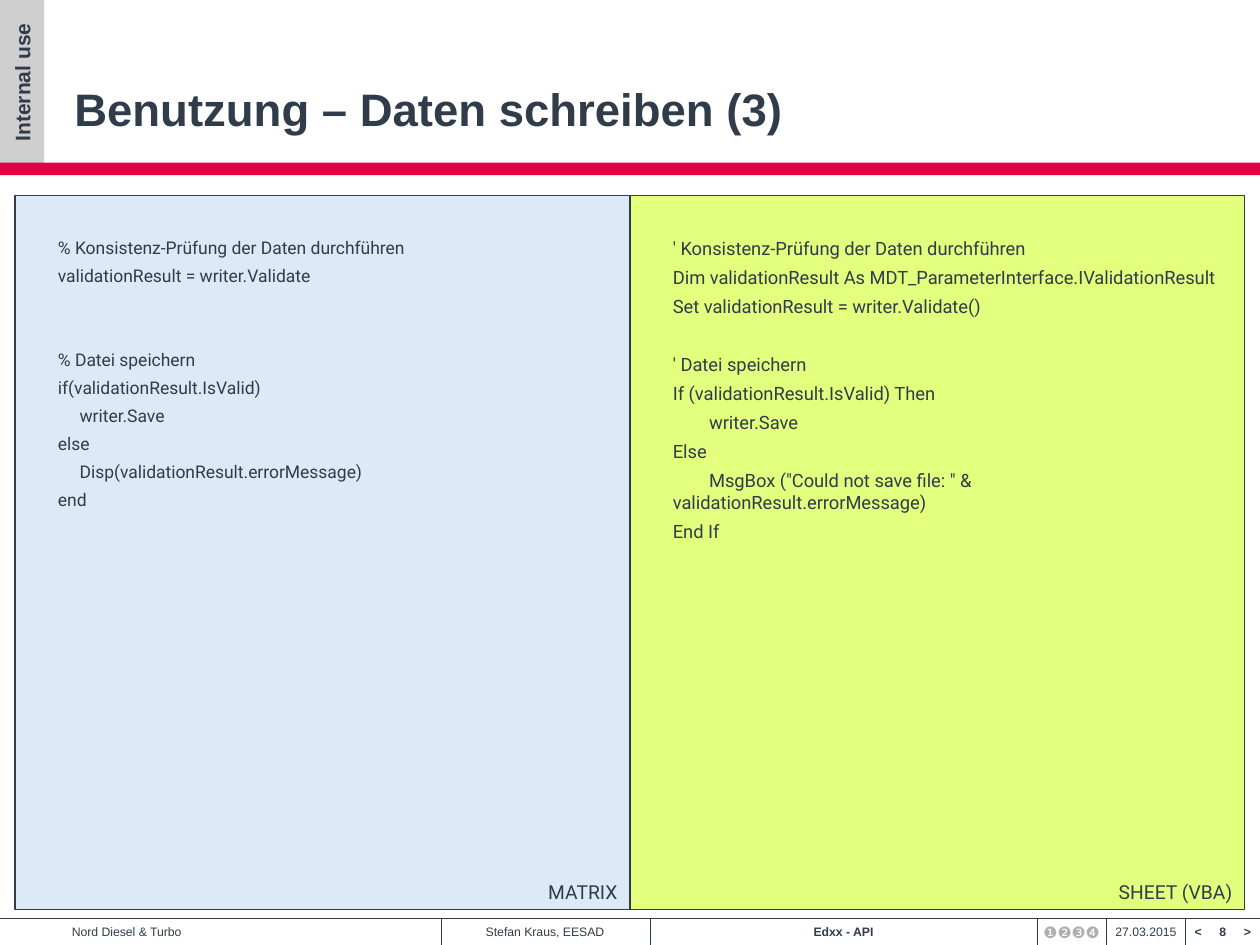
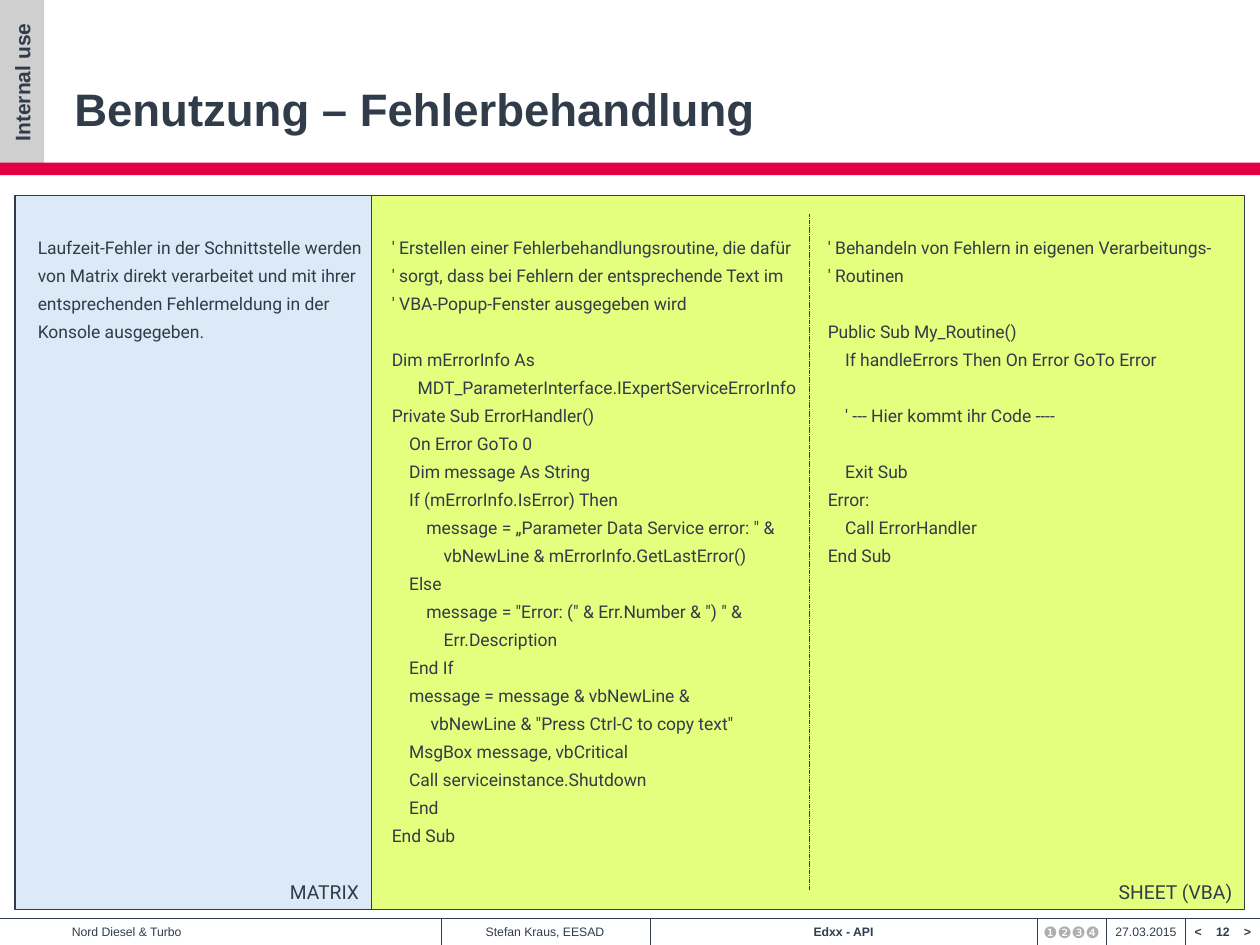
from lxml import etree
from pptx import Presentation
from pptx.dml.color import RGBColor
from pptx.enum.dml import MSO_LINE
from pptx.enum.shapes import MSO_CONNECTOR, MSO_SHAPE
from pptx.enum.text import MSO_ANCHOR, PP_ALIGN
from pptx.oxml.ns import qn
from pptx.util import Inches, Pt

LEFT, CENTER, RIGHT = PP_ALIGN.LEFT, PP_ALIGN.CENTER, PP_ALIGN.RIGHT
TOP, MIDDLE, BOTTOM = MSO_ANCHOR.TOP, MSO_ANCHOR.MIDDLE, MSO_ANCHOR.BOTTOM
RECTANGLE = MSO_SHAPE.RECTANGLE
STRAIGHT = MSO_CONNECTOR.STRAIGHT
DOTTED = MSO_LINE.SQUARE_DOT

INK, GREY, RED = "303C49", "CFCFCF", "E40045"
BLUE, GREEN, SYMBOL_GREY = "DBEAF6", "E3FF7D", "AFAFAF"
HEAD_FONT, BODY_FONT = "Arial", "Roboto"
PAGE_WIDTH, PAGE_HEIGHT = 10, 7.5
FOOTER_TOP, FOOTER_HEIGHT = 7.29, 0.21
PANEL_LEFT, PANEL_RIGHT, PANEL_TOP, PANEL_HEIGHT = 0.12, 9.88, 1.55, 5.67
CODE_TOP, CODE_HEIGHT = 1.88, 5.02
LINE_GAP, LINE_FACTOR = 4, 1.2


def color(value):
    return RGBColor.from_string(value)


def add_box(page, place, text="", size=7, bold=False, align=CENTER, anchor=MIDDLE,
            font=HEAD_FONT, ink=INK, fill=None, outline=None,
            insets=(0, 0, 0, 0), wrap=True):
    left, top, width, height = [Inches(length) for length in place]
    if fill:
        box = page.shapes.add_shape(RECTANGLE, left, top, width, height)
        box.shadow.inherit = False
        box.fill.solid()
        box.fill.fore_color.rgb = color(fill)
        if outline:
            box.line.color.rgb = color(outline)
            box.line.width = Pt(0.75)
        else:
            box.line.fill.background()
    else:
        box = page.shapes.add_textbox(left, top, width, height)
    frame = box.text_frame
    frame.word_wrap = wrap
    frame.vertical_anchor = anchor
    frame.margin_left, frame.margin_top, frame.margin_right, frame.margin_bottom = [
        Inches(inset) for inset in insets]
    blank_lines = 0
    paragraph_count = 0
    for line in text.split("\n"):
        if not line:
            blank_lines += 1
            continue
        para = frame.add_paragraph() if paragraph_count else frame.paragraphs[0]
        para.text = line
        para.alignment = align
        if paragraph_count:
            para.space_before = Pt(LINE_GAP + blank_lines * (LINE_GAP + LINE_FACTOR * size))
        for span in para.runs:
            span.font.name = font
            span.font.size = Pt(size)
            span.font.bold = bold
            span.font.color.rgb = color(ink)
        blank_lines = 0
        paragraph_count += 1
    return box


MATRIX_SAVE = """% Konsistenz-Prüfung der Daten durchführen
validationResult = writer.Validate


% Datei speichern
if(validationResult.IsValid)
     writer.Save
else
     Disp(validationResult.errorMessage)
end"""

VBA_SAVE = """' Konsistenz-Prüfung der Daten durchführen
Dim validationResult As MDT_ParameterInterface.IValidationResult
Set validationResult = writer.Validate()

' Datei speichern
If (validationResult.IsValid) Then
        writer.Save
Else
        MsgBox ("Could not save file: " & validationResult.errorMessage)
End If"""

MATRIX_ERRORS = """Laufzeit-Fehler in der Schnittstelle werden
von Matrix direkt verarbeitet und mit ihrer
entsprechenden Fehlermeldung in der
Konsole ausgegeben."""

VBA_HANDLER = """' Erstellen einer Fehlerbehandlungsroutine, die dafür
' sorgt, dass bei Fehlern der entsprechende Text im
' VBA-Popup-Fenster ausgegeben wird

Dim mErrorInfo As
      MDT_ParameterInterface.IExpertServiceErrorInfo
Private Sub ErrorHandler()
    On Error GoTo 0
    Dim message As String
    If (mErrorInfo.IsError) Then
        message = „Parameter Data Service error: " &
            vbNewLine & mErrorInfo.GetLastError()
    Else
        message = "Error: (" & Err.Number & ") " &
            Err.Description
    End If
    message = message & vbNewLine &
         vbNewLine & "Press Ctrl-C to copy text"
    MsgBox message, vbCritical
    Call serviceinstance.Shutdown
    End
End Sub"""

VBA_ROUTINE = """' Behandeln von Fehlern in eigenen Verarbeitungs-
' Routinen

Public Sub My_Routine()
    If handleErrors Then On Error GoTo Error

    ' --- Hier kommt ihr Code ----

    Exit Sub
Error:
    Call ErrorHandler
End Sub"""

SLIDES = [
    {"title": "Benutzung – Daten schreiben (3)", "number": "8", "split": 5,
     "code": [(0.46, 4.39, 10, MATRIX_SAVE), (5.34, 4.39, 10.5, VBA_SAVE)],
     "dividers": []},
    {"title": "Benutzung – Fehlerbehandlung", "number": "12", "split": 2.95,
     "code": [(0.3, 2.57, 10, MATRIX_ERRORS), (3.11, 3.23, 10, VBA_HANDLER),
              (6.57, 3.23, 10, VBA_ROUTINE)],
     "dividers": [6.42]},
]

FOOTER_CELLS = [
    (0, 2.17, "Nord Diesel & Turbo", False, LEFT, 0.57),
    (3.5, 1.65, "Stefan Kraus, EESAD", False, CENTER, 0),
    (5.16, 3.07, "Edxx - API", True, CENTER, 0),
    (8.78, 0.63, "27.03.2015", False, CENTER, 0),
    (9.41, 0.2, "<", True, CENTER, 0),
    (9.8, 0.2, ">", True, CENTER, 0),
]
FOOTER_SEPARATORS = [3.5, 5.16, 8.23, 8.78, 9.41]

deck = Presentation()
deck.slide_width = Inches(PAGE_WIDTH)
deck.slide_height = Inches(PAGE_HEIGHT)

for content in SLIDES:
    page = deck.slides.add_slide(deck.slide_layouts[6])

    label = add_box(page, (0, 0, 0.35, 1.31), "Internal use", 12, True, fill=GREY)
    label.text_frame._txBody.bodyPr.set("vert", "vert270")
    add_box(page, (0, 1.29, PAGE_WIDTH, 0.1), fill=RED)
    add_box(page, (0.59, 0.21, 7.4, 0.94), content["title"], 26, True, LEFT, BOTTOM,
            insets=(0, 0, 0, 0.07))

    for left, width, text, bold, align, indent in FOOTER_CELLS:
        add_box(page, (left, FOOTER_TOP, width, FOOTER_HEIGHT), text, 7, bold, align,
                insets=(indent, 0, 0, 0))
    add_box(page, (9.41, FOOTER_TOP, 0.59, FOOTER_HEIGHT), content["number"], 7, True)
    add_box(page, (8.23, 7.32, 0.55, 0.16), "❶❷❸❹", 9, anchor=TOP, ink=SYMBOL_GREY)

    split = content["split"]
    for left, right, language, fill in [(PANEL_LEFT, split, "MATRIX", BLUE),
                                        (split, PANEL_RIGHT, "SHEET (VBA)", GREEN)]:
        add_box(page, (left, PANEL_TOP, right - left, PANEL_HEIGHT), language, 11,
                align=RIGHT, anchor=BOTTOM, font=BODY_FONT, fill=fill, outline=INK,
                insets=(0.1, 0.05, 0.1, 0.05))
    for left, width, size, text in content["code"]:
        add_box(page, (left, CODE_TOP, width, CODE_HEIGHT), text, size, align=LEFT,
                anchor=TOP, font=BODY_FONT, wrap=False)

    rules = [(0, FOOTER_TOP, PAGE_WIDTH, FOOTER_TOP, 0.5, None)]
    rules += [(x, FOOTER_TOP, x, PAGE_HEIGHT, 0.5, None) for x in FOOTER_SEPARATORS]
    rules += [(x, 1.7, x, 7.06, 0.25, DOTTED) for x in content["dividers"]]
    for *ends, weight, dash in rules:
        rule = page.shapes.add_connector(STRAIGHT, *[Inches(end) for end in ends])
        rule.line.color.rgb = color(INK)
        rule.line.width = Pt(weight)
        if dash:
            rule.line.dash_style = dash
        etree.SubElement(rule._element.spPr, qn("a:effectLst"))

deck.save("out.pptx")
